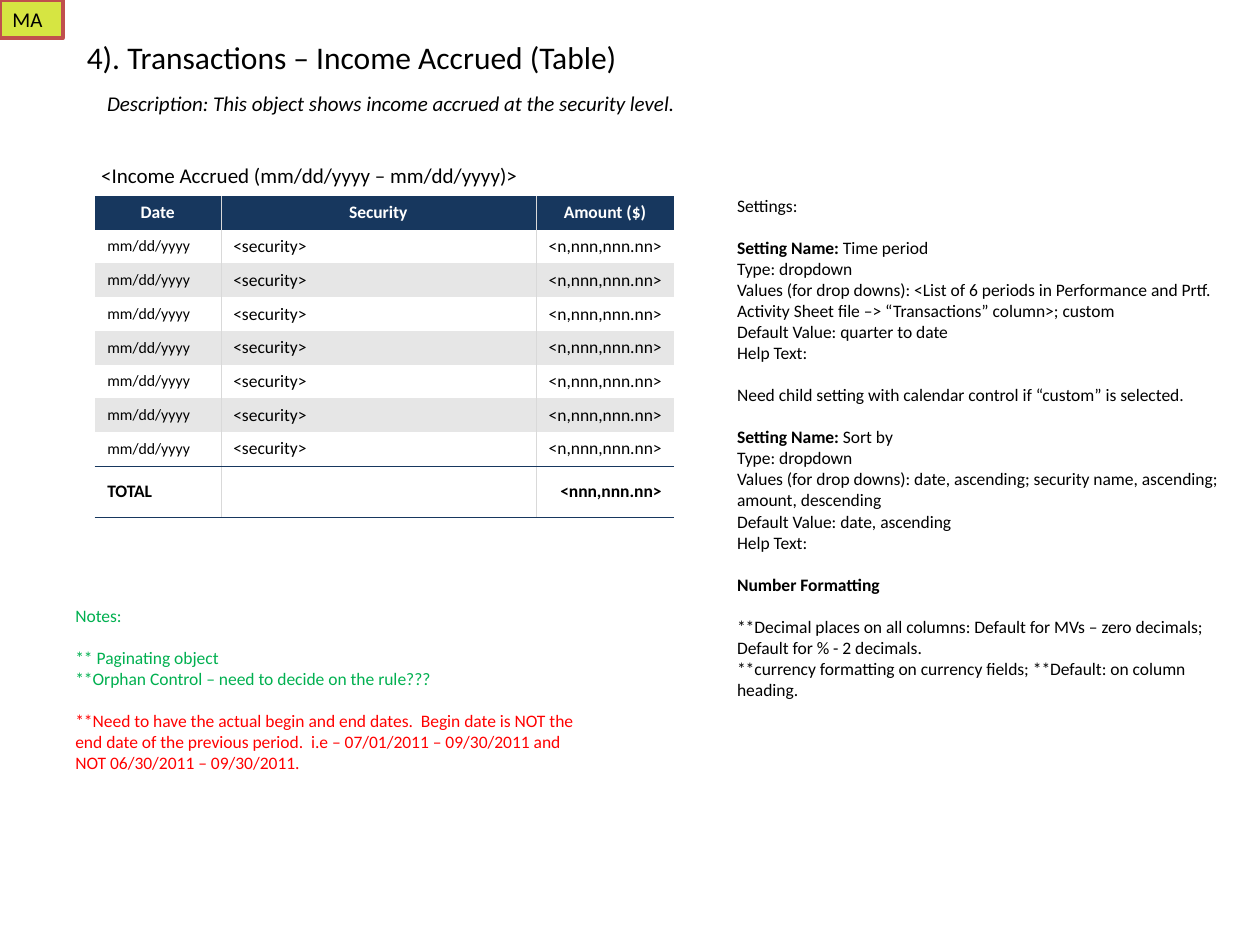
from lxml.etree import SubElement
from pptx import Presentation
from pptx.dml.color import RGBColor
from pptx.enum.shapes import MSO_SHAPE
from pptx.enum.text import MSO_ANCHOR, MSO_AUTO_SIZE, PP_ALIGN
from pptx.oxml.ns import qn
from pptx.util import Cm, Pt

COLORS = {
    "text": "000000",
    "white": "FFFFFF",
    "navy": "17375E",
    "band": "E6E6E6",
    "grid": "D9D9D9",
    "done": "00B050",
    "warning": "FF0000",
    "tag": "D6E542",
    "tag_edge": "C0504D",
}
FONT = "Calibri"
PLAIN_TABLE_STYLE = "{2D5ABB26-0587-4C30-8999-92F81FD0307C}"
COLUMN_WIDTHS = (2.54, 6.35, 2.79)
COLUMN_ALIGNS = (PP_ALIGN.LEFT, PP_ALIGN.LEFT, PP_ALIGN.RIGHT)
TITLE_ROW, BODY_ROW, TOTAL_ROW = 0.77, 0.68, 1.03
RECORDS = 7

SETTINGS = [
    ["Settings:"],
    [
        ("Setting Name:", " Time period"),
        "Type: dropdown",
        "Values (for drop downs): <List of 6 periods in Performance and Prtf. "
        "Activity Sheet file –> “Transactions” column>; custom",
        "Default Value: quarter to date",
        "Help Text:",
    ],
    ["Need child setting with calendar control if “custom” is selected."],
    [
        ("Setting Name:", " Sort by"),
        "Type: dropdown",
        "Values (for drop downs): date, ascending; security name, ascending; "
        "amount, descending",
        "Default Value: date, ascending",
        "Help Text:",
    ],
    [("Number Formatting", "")],
    [
        "**Decimal places on all columns: Default for MVs – zero decimals; "
        "Default for % - 2 decimals.",
        "**currency formatting on currency fields; "
        "**Default: on column heading.",
    ],
]
NOTES = [
    (["Notes:"], "done"),
    (["** Paginating object",
      "**Orphan Control – need to decide on the rule???"], "done"),
    (["**Need to have the actual begin and end dates.  Begin date is NOT the "
      "end date of the previous period.  i.e – 07/01/2011 – 09/30/2011 and "
      "NOT 06/30/2011 – 09/30/2011."], "warning"),
]


def rgb(name):
    return RGBColor.from_string(COLORS[name])


def write(frame, lines, size=10, color="text", bold=False, italic=False,
          align=PP_ALIGN.LEFT):
    """Add a block of lines, one line apart from any earlier block.

    A line is a string, or a (bold lead, regular rest) pair.
    """
    starts_frame = not frame.text
    for index, line in enumerate(lines):
        if starts_frame and index == 0:
            paragraph = frame.paragraphs[0]
        else:
            paragraph = frame.add_paragraph()
            if index == 0:
                paragraph.space_before = Pt(12)
        paragraph.alignment = align
        parts = [(line, bold)] if isinstance(line, str) else zip(line, (True, False))
        for text, is_bold in parts:
            if not text:
                continue
            run = paragraph.add_run()
            run.text = text
            run.font.name = FONT
            run.font.size = Pt(size)
            run.font.bold = is_bold
            run.font.italic = italic
            run.font.color.rgb = rgb(color)


def add_text_box(slide, left, top, width, height, wrap=True):
    frame = slide.shapes.add_textbox(
        Cm(left), Cm(top), Cm(width), Cm(height)).text_frame
    frame.word_wrap = wrap
    frame.auto_size = MSO_AUTO_SIZE.SHAPE_TO_FIT_TEXT
    return frame


def add_panel(slide, left, top, width, height, fill, edge=None):
    panel = slide.shapes.add_shape(
        MSO_SHAPE.RECTANGLE, Cm(left), Cm(top), Cm(width), Cm(height))
    panel.shadow.inherit = False
    panel.fill.solid()
    panel.fill.fore_color.rgb = rgb(fill)
    if edge:
        panel.line.color.rgb = rgb(edge)
        panel.line.width = Pt(2)
    else:
        panel.line.fill.background()
    frame = panel.text_frame
    frame.word_wrap = True
    frame.vertical_anchor = MSO_ANCHOR.TOP
    return frame


def set_borders(cell, **sides):
    """Draw hairlines on sides L, R, T and B, given in that order."""
    properties = cell._tc.get_or_add_tcPr()
    for side, color in sides.items():
        if color:
            line = SubElement(properties, qn(f"a:ln{side}"), w=str(Pt(0.23)))
            fill = SubElement(line, qn("a:solidFill"))
            SubElement(fill, qn("a:srgbClr"), val=COLORS[color])


def fill_cell(cell, text, fill, **text_format):
    cell.fill.solid()
    cell.fill.fore_color.rgb = rgb(fill)
    cell.vertical_anchor = MSO_ANCHOR.MIDDLE
    if text:
        write(cell.text_frame, [text], **text_format)


def add_income_table(slide):
    heights = [TITLE_ROW] + [BODY_ROW] * (RECORDS + 1) + [TOTAL_ROW]
    table = slide.shapes.add_table(
        len(heights), len(COLUMN_WIDTHS), Cm(1.91), Cm(3.18),
        Cm(sum(COLUMN_WIDTHS)), Cm(sum(heights))).table
    table.first_row = table.horz_banding = False
    table._tbl.tblPr.find(qn("a:tableStyleId")).text = PLAIN_TABLE_STYLE
    for column, width in zip(table.columns, COLUMN_WIDTHS):
        column.width = Cm(width)
    for row, height in zip(table.rows, heights):
        row.height = Cm(height)

    title = table.cell(0, 0)
    title.merge(table.cell(0, len(COLUMN_WIDTHS) - 1))
    title.margin_left = Cm(0.13)
    title.vertical_anchor = MSO_ANCHOR.BOTTOM
    title.fill.background()
    write(title.text_frame, ["<Income Accrued (mm/dd/yyyy – mm/dd/yyyy)>"], size=12)

    rows = [("Date", "Security", "Amount ($)")]
    rows += [("mm/dd/yyyy", "<security>", "<n,nnn,nnn.nn>")] * RECORDS
    rows += [("TOTAL", "", "<nnn,nnn.nn>")]
    total = len(rows) - 1
    for r, values in enumerate(rows):
        for c, value in enumerate(values):
            cell = table.cell(r + 1, c)
            set_borders(
                cell,
                L="grid" if c > 0 else None,
                R="grid" if c < len(values) - 1 else None,
                T="navy" if r == total else None,
                B="navy" if r >= total - 1 else None)
            if r == 0:
                fill_cell(cell, value, "navy", color="white", bold=True,
                          align=PP_ALIGN.CENTER)
            else:
                banded = r % 2 == 0 and r < total
                fill_cell(cell, value, "band" if banded else "white",
                          size=9 if c == 0 and r < total else 10,
                          bold=r == total, align=COLUMN_ALIGNS[c])


def main():
    deck = Presentation()
    deck.slide_width, deck.slide_height = Cm(25.4), Cm(19.05)
    slide = deck.slides.add_slide(deck.slide_layouts[6])

    heading = add_text_box(slide, 1.5, 0.64, 11.3, 1.02, wrap=False)
    write(heading, ["4). Transactions – Income Accrued (Table)"], size=18)
    description = add_text_box(slide, 1.91, 1.7, 22.86, 0.77)
    write(description,
          ["Description: This object shows income accrued at the security level."],
          size=12, italic=True)

    add_income_table(slide)

    settings = add_panel(slide, 14.61, 3.81, 10.79, 10.44, "white")
    for block in SETTINGS:
        write(settings, block)
    notes = add_text_box(slide, 1.27, 12.07, 10.8, 5.36)
    for block, color in NOTES:
        write(notes, block, color=color)

    tag = add_panel(slide, 0, 0, 1.27, 0.77, "tag", edge="tag_edge")
    write(tag, ["MA"], size=12)
    deck.save("out.pptx")


if __name__ == "__main__":
    main()
